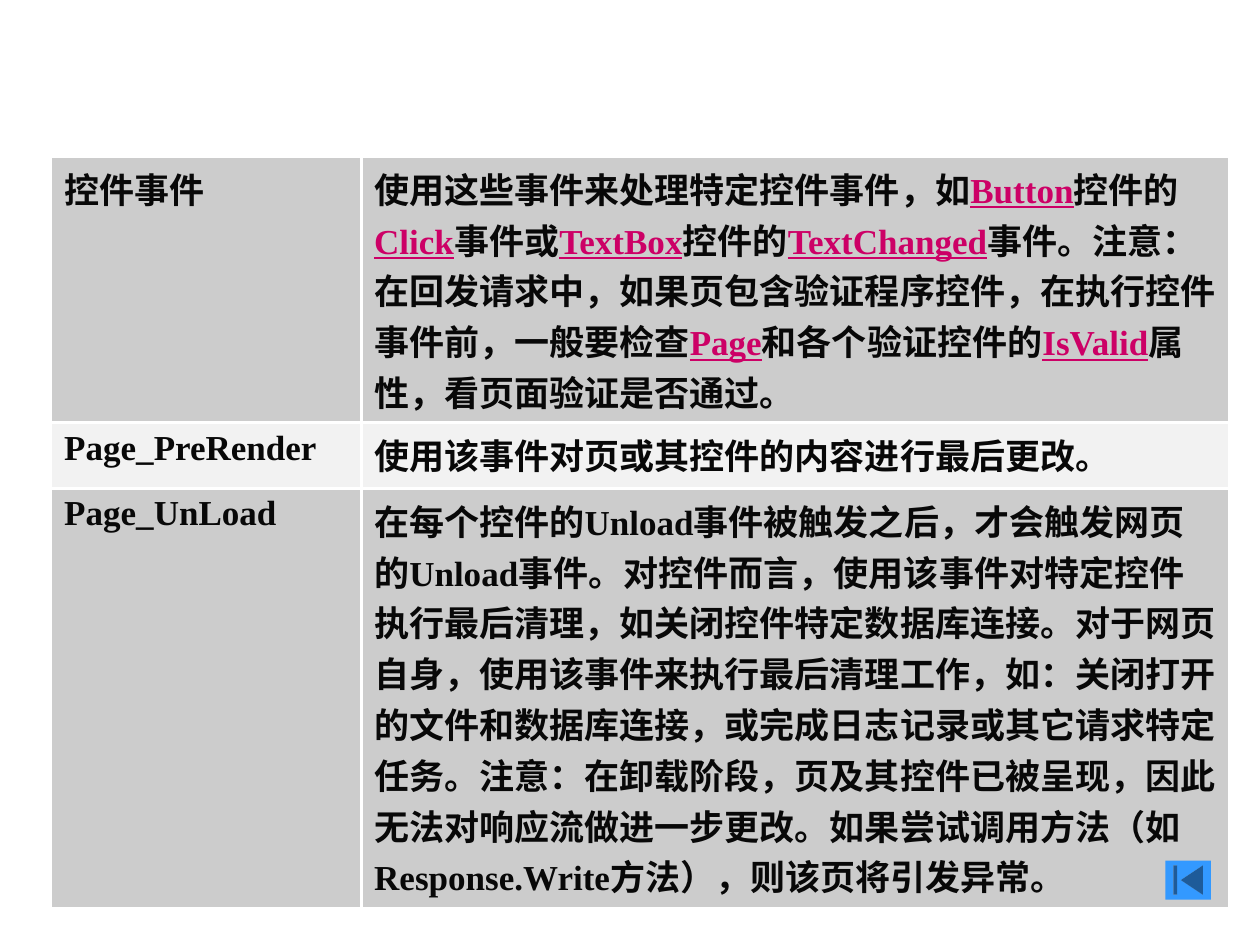
from lxml.etree import SubElement
from pptx import Presentation
from pptx.dml.color import RGBColor
from pptx.enum.shapes import MSO_SHAPE
from pptx.oxml.ns import qn
from pptx.util import Inches, Pt

INK = RGBColor(0x08, 0x08, 0x08)
TERM = RGBColor(0xCC, 0x00, 0x66)
GREY = RGBColor(0xCC, 0xCC, 0xCC)
LIGHT = RGBColor(0xF2, 0xF2, 0xF2)
BLUE = RGBColor(0x33, 0x99, 0xFF)
WHITE = RGBColor(0xFF, 0xFF, 0xFF)

# Event name, description (terms between bars are highlighted), row height
EVENTS = [
    ("控件事件",
     "使用这些事件来处理特定控件事件，如|Button|控件的|Click|事件或|TextBox|控件的"
     "|TextChanged|事件。注意：在回发请求中，如果页包含验证程序控件，在执行控件事件前，"
     "一般要检查|Page|和各个验证控件的|IsValid|属性，看页面验证是否通过。", 1.89),
    ("Page_PreRender", "使用该事件对页或其控件的内容进行最后更改。", 0.52),
    ("Page_UnLoad",
     "在每个控件的Unload事件被触发之后，才会触发网页的Unload事件。对控件而言，"
     "使用该事件对特定控件执行最后清理，如关闭控件特定数据库连接。对于网页自身，"
     "使用该事件来执行最后清理工作，如：关闭打开的文件和数据库连接，"
     "或完成日志记录或其它请求特定任务。注意：在卸载阶段，页及其控件已被呈现，"
     "因此无法对响应流做进一步更改。如果尝试调用方法（如Response.Write方法），"
     "则该页将引发异常。", 2.96),
]


def set_borders(cell, visible):
    """Draw white 2 pt lines on the visible sides and none on the others."""
    properties = cell._tc.get_or_add_tcPr()
    for side in "LRTB":
        line = SubElement(properties, qn(f"a:ln{side}"), w=str(Pt(2)))
        if side in visible:
            fill = SubElement(line, qn("a:solidFill"))
            SubElement(fill, qn("a:srgbClr"), val=str(WHITE))
        else:
            SubElement(line, qn("a:noFill"))


def write_text(cell, text):
    """Fill the cell, colouring and underlining every second part."""
    para = cell.text_frame.paragraphs[0]
    para.font.name = "Times New Roman"
    para.font.size = Pt(20)
    para.font.bold = True
    for index, part in enumerate(text.split("|")):
        span = para.add_run()
        span.text = part
        is_term = index % 2 == 1
        span.font.color.rgb = TERM if is_term else INK
        span.font.underline = is_term


deck = Presentation()
deck.slide_width, deck.slide_height = Inches(10), Inches(7.5)
page = deck.slides.add_slide(deck.slide_layouts[6])

# Table of page events
table = page.shapes.add_table(len(EVENTS), 2, Inches(0.41), Inches(1.24),
                              Inches(9.34), Inches(5.37)).table
table.first_row = False
table.horz_banding = False
table.columns[0].width = Inches(2.46)
table.columns[1].width = Inches(6.88)
for row, (name, description, height) in enumerate(EVENTS):
    table.rows[row].height = Inches(height)
    for column, text in enumerate((name, description)):
        cell = table.cell(row, column)
        bottom = "B" if row < len(EVENTS) - 1 else ""
        set_borders(cell, "RL"[column] + "T" + bottom)
        cell.fill.solid()
        cell.fill.fore_color.rgb = LIGHT if row % 2 else GREY
        write_text(cell, text)

# Return button
button = page.shapes.add_shape(MSO_SHAPE.ACTION_BUTTON_BEGINNING, Inches(9.25),
                               Inches(6.83), Inches(0.36), Inches(0.31))
button.shadow.inherit = False
button.fill.solid()
button.fill.fore_color.rgb = BLUE
button.line.fill.background()

deck.save("out.pptx")
